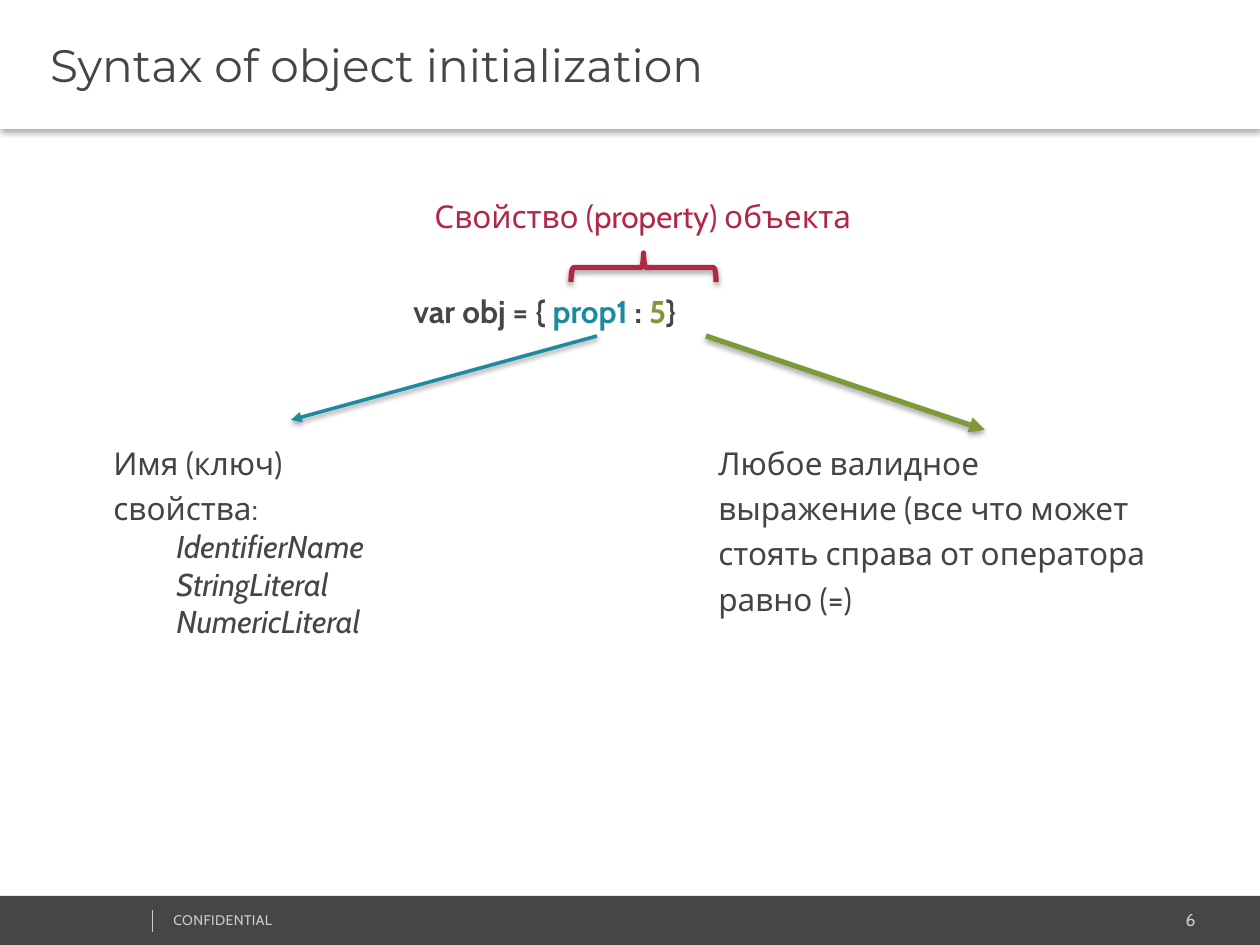
"""Build a slide that explains the syntax of object initialization."""
import lxml.etree
import pptx
import pptx.dml.color
import pptx.enum.shapes
import pptx.enum.text
import pptx.oxml.ns
import pptx.util

COLORS = {
    "white": "FFFFFF", "black": "000000", "dark": "464547", "body": "444444",
    "pale": "CCCCCC", "teal": "1B8BA0", "green": "7F993A", "red": "B22746",
}
SCALE = 914400 / 126
ALIGN = pptx.enum.text.PP_ALIGN
SHAPES = pptx.enum.shapes.MSO_SHAPE


def px(length):
    return pptx.util.Emu(round(length * SCALE))


def color(name):
    return pptx.dml.color.RGBColor.from_string(COLORS[name])


def child(parent, tag, **attributes):
    return lxml.etree.SubElement(parent, pptx.oxml.ns.qn(tag), attributes)


class SlideBuilder:
    def __init__(self, slide, font="Cabin"):
        self.slide = slide
        self.font = font

    def format_run(self, run, size, color_name, font=None, bold=False, italic=False):
        run.font.name = font or self.font
        run.font.size = pptx.util.Pt(size)
        run.font.bold = bold
        run.font.italic = italic
        run.font.color.rgb = color(color_name)

    def shadow(self, shape, opacity, distance):
        effects = child(shape._element.spPr, "a:effectLst")
        if opacity:
            outer = child(effects, "a:outerShdw", blurRad=str(pptx.util.Pt(3.1)),
                          dist=str(pptx.util.Pt(distance)), dir="5400000", rotWithShape="0")
            black = child(outer, "a:srgbClr", val=COLORS["black"])
            child(black, "a:alpha", val=str(opacity * 1000))

    def title(self, text, left, top, width, height):
        shape = self.slide.shapes.title
        shape.left, shape.top, shape.width, shape.height = map(px, (left, top, width, height))
        shape.fill.solid()
        shape.fill.fore_color.rgb = color("white")
        self.shadow(shape, 30, 2)
        frame = shape.text_frame
        frame.text = text
        frame.margin_left = px(50)
        frame.vertical_anchor = pptx.enum.text.MSO_ANCHOR.MIDDLE
        frame.auto_size = pptx.enum.text.MSO_AUTO_SIZE.NONE
        frame.paragraphs[0].alignment = ALIGN.LEFT
        self.format_run(frame.paragraphs[0].runs[0], 26, "dark", "Montserrat")

    def bar(self, left, top, width, height, fill):
        shape = self.slide.shapes.add_shape(SHAPES.RECTANGLE, *map(px, (left, top, width, height)))
        shape.fill.solid()
        shape.fill.fore_color.rgb = color(fill)
        shape.line.fill.background()
        shape.shadow.inherit = False

    def brace(self, left, top, width, height, line):
        shape = self.slide.shapes.add_shape(SHAPES.LEFT_BRACE, *map(px, (left, top, width, height)))
        shape.rotation = 90
        shape.fill.background()
        shape.line.color.rgb = color(line)
        shape.line.width = pptx.util.Pt(3)
        self.shadow(shape, 35, 1.8)

    def line(self, start, end, line, width, arrow=False, opacity=0, distance=0):
        connector = self.slide.shapes.add_connector(
            pptx.enum.shapes.MSO_CONNECTOR.STRAIGHT, *map(px, start + end))
        connector.line.color.rgb = color(line)
        connector.line.width = pptx.util.Pt(width)
        if arrow:
            child(connector.line._get_or_add_ln(), "a:tailEnd", type="triangle")
        self.shadow(connector, opacity, distance)

    def text(self, left, top, width, height, runs, size=18, spacing=1.2,
             alignment=ALIGN.LEFT, bold=False):
        shape = self.slide.shapes.add_textbox(*map(px, (left, top, width, height)))
        shape.text_frame.word_wrap = True
        paragraph = shape.text_frame.paragraphs[0]
        paragraph.line_spacing = spacing
        paragraph.alignment = alignment
        for text, color_name in runs:
            run = paragraph.add_run()
            run.text = text
            self.format_run(run, size, color_name, bold=bold)
        return shape

    def indented_lines(self, shape, lines, indent):
        for text in lines:
            paragraph = shape.text_frame.add_paragraph()
            paragraph.text = text
            paragraph._p.get_or_add_pPr().set("marL", str(px(indent)))
            self.format_run(paragraph.runs[0], 18, "dark", italic=True)


def main():
    presentation = pptx.Presentation()
    presentation.slide_width, presentation.slide_height = px(1260), px(945)
    builder = SlideBuilder(presentation.slides.add_slide(presentation.slide_layouts[5]))

    builder.title("Syntax of object initialization", 0, 0, 1260, 129)
    builder.bar(0, 896, 1260, 49, "dark")
    builder.text(1003, 903, 205, 34, [("6", "pale")], 10, 1, ALIGN.RIGHT)
    label = builder.text(161, 905, 319, 30, [("CONFIDENTIAL", "pale")], 8, 1)
    label.text_frame.paragraphs[0].runs[0].font._element.set("spc", "20")
    builder.line((152, 910), (152, 932), "pale", 0.25)

    builder.text(401, 278, 341, 58, [("var obj = { ", "dark"), ("prop1", "teal"),
                                     (" : ", "dark"), ("5", "green"), ("}", "dark")], bold=True)
    builder.line((597, 336), (291, 420), "teal", 2, True, 38, 1.6)
    name = builder.text(101, 430, 344, 220, [("Имя (ключ) свойства:", "body")])
    builder.indented_lines(name, ["IdentifierName", "StringLiteral", "NumericLiteral"], 63)
    builder.line((706, 336), (985, 430), "green", 3, True, 35, 1.8)
    builder.text(706, 430, 464, 242, [(
        "Любое валидное выражение (все что может стоять справа от оператора равно (=)", "body")])
    builder.brace(629, 195, 29, 145, "red")
    builder.text(422, 183, 450, 54, [("Свойство (property) объекта", "red")])

    presentation.save("out.pptx")


if __name__ == "__main__":
    main()
